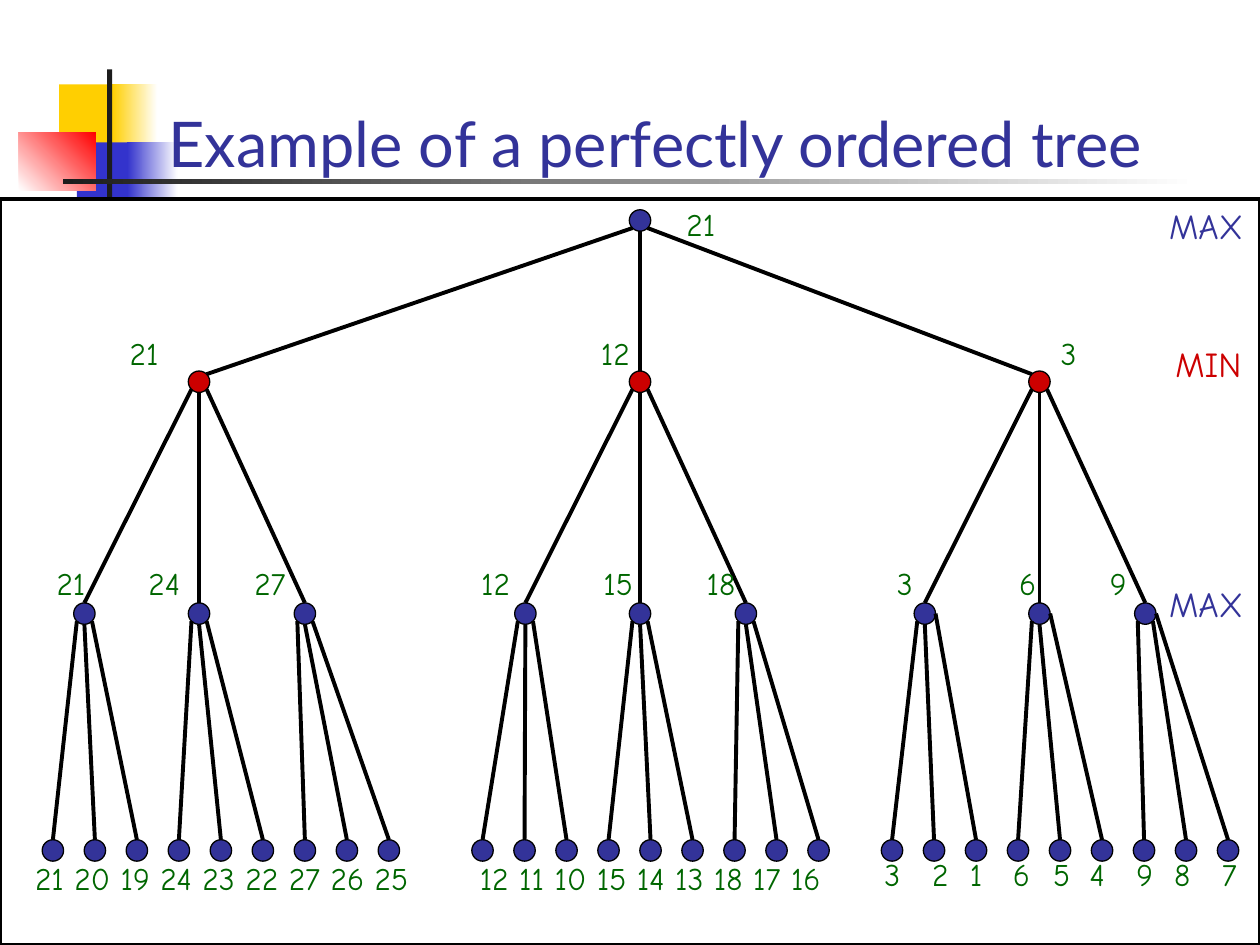
from dataclasses import dataclass

from lxml import etree
from pptx import Presentation
from pptx.dml.color import RGBColor
from pptx.enum.shapes import MSO_CONNECTOR, MSO_SHAPE
from pptx.enum.text import MSO_ANCHOR
from pptx.oxml.ns import qn
from pptx.util import Inches, Pt

RECTANGLE, OVAL = MSO_SHAPE.RECTANGLE, MSO_SHAPE.OVAL
STRAIGHT = MSO_CONNECTOR.STRAIGHT
TOP, BOTTOM = MSO_ANCHOR.TOP, MSO_ANCHOR.BOTTOM


@dataclass(frozen=True)
class Theme:
    white: str = "FFFFFF"
    black: str = "000000"
    yellow: str = "FFCF01"
    blue: str = "3333CC"
    red: str = "FF0000"
    charcoal: str = "1C1C1C"
    max_color: str = "333399"
    min_color: str = "CC0000"
    value_color: str = "006600"
    title_font: str = "Lato"
    label_font: str = "Comic Neue"
    title_size: int = 36
    level_size: int = 20
    value_size: int = 18
    thick: float = 2.25
    thin: float = 0.75


theme = Theme()
deck = Presentation()
deck.slide_width, deck.slide_height = Inches(10), Inches(7.5)
page = deck.slides.add_slide(deck.slide_layouts[6])


def add_block(kind, place, color, fade=None, angle=0, line=None):
    block = page.shapes.add_shape(kind, *map(Inches, place))
    block.shadow.inherit = False
    if fade:
        block.fill.gradient()
        block.fill.gradient_angle = angle
        for stop, tone in zip(block.fill.gradient_stops, (color, fade)):
            stop.color.rgb = RGBColor.from_string(tone)
    else:
        block.fill.solid()
        block.fill.fore_color.rgb = RGBColor.from_string(color)
    if line:
        block.line.color.rgb = RGBColor.from_string(theme.black)
        block.line.width = Pt(line)
    else:
        block.line.fill.background()


def add_text(words, place, font, size, color, tabs=(), anchor=TOP):
    box = page.shapes.add_textbox(*map(Inches, place))
    # No right margin, so that each line has room to stay whole
    frame_format = {"word_wrap": True, "vertical_anchor": anchor, "margin_right": 0}
    for name, value in frame_format.items():
        setattr(box.text_frame, name, value)
    para = box.text_frame.paragraphs[0]
    if tabs:
        tab_list = etree.SubElement(para._p.get_or_add_pPr(), qn("a:tabLst"))
        for stop in tabs:
            etree.SubElement(tab_list, qn("a:tab"), pos=str(Inches(stop)), algn="l")
    span = para.add_run()
    span.text = words
    for name, value in {"name": font, "size": Pt(size)}.items():
        setattr(span.font, name, value)
    span.font.color.rgb = RGBColor.from_string(color)


# Corner decoration: place, colour, fade colour, angle
for block in (
    ((0.47, 0.67, 0.48, 0.52), theme.yellow),
    ((0.89, 0.67, 0.36, 0.52), theme.yellow, theme.white),
    ((0.61, 1.13, 0.46, 0.52), theme.blue),
    ((1.01, 1.13, 0.4, 0.52), theme.blue, theme.white),
    ((0.15, 1.05, 0.61, 0.46), theme.white, theme.red, 45),
    ((0.85, 0.55, 0.04, 1.15), theme.charcoal),
    ((0.5, 1.42, 9, 0.04), theme.charcoal, theme.white),
):
    add_block(RECTANGLE, *block)

# Title and frame of the tree
add_text("Example of a perfectly ordered tree", (1.24, 0.48, 8.5, 1),
         theme.title_font, theme.title_size, theme.max_color, anchor=BOTTOM)
add_block(RECTANGLE, (0, 1.58, 10, 5.92), theme.white, line=theme.thick)

# Node centres, level by level
root_x = 5.08
min_xs = [1.58, 5.08, 8.25]
max_xs = [x + shift for x in min_xs for shift in (-0.91, 0, 0.84)]
leaf_xs = [start + i / 3 for start in (0.42, 3.83, 7.08) for i in range(9)]
levels = [
    (1.75, [root_x], theme.max_color),
    (3.03, min_xs, theme.min_color),
    (4.87, max_xs, theme.max_color),
    (6.75, leaf_xs, theme.max_color),
]
diameter = 0.17
radius = diameter / 2
diagonal = 0.06

for y, xs, color in levels:
    for x in xs:
        add_block(OVAL, (x - radius, y - radius, diameter, diameter), color, line=theme.thin)

# Edges: the three children hang from lower left, bottom and lower right
lower_left, bottom, lower_right = (-diagonal, diagonal), (0, radius), (diagonal, diagonal)
right_side = (radius, 0)
for depth, ((y, xs, _), (child_y, child_xs, _)) in enumerate(zip(levels, levels[1:])):
    for i, child_x in enumerate(child_xs):
        parent, side = divmod(i, 3)
        dx, dy = (lower_left, bottom, lower_right)[side]
        if depth == 2 and parent >= 6 and side == 2:
            dx, dy = right_side
        elif depth == 2 and parent == 8 and side == 1:
            dx, dy = lower_right
        end_x, end_y = child_x, child_y - radius
        if depth == 0 and side != 1:
            end_x, end_y = child_x + (1 - side) * diagonal, child_y - diagonal
        edge = page.shapes.add_connector(
            STRAIGHT, Inches(xs[parent] + dx), Inches(y + dy), Inches(end_x), Inches(end_y))
        edge.line.color.rgb = RGBColor.from_string(theme.black)
        edge.line.width = Pt(theme.thick)
        etree.SubElement(edge._element.spPr, qn("a:effectLst"))

# Level names
for words, place, color in (
    ("MAX", (9.18, 1.57, 0.78, 0.44), theme.max_color),
    ("MIN", (9.23, 2.67, 0.72, 0.44), theme.min_color),
    ("MAX", (9.18, 4.57, 0.78, 0.44), theme.max_color),
):
    add_text(words, place, theme.label_font, theme.level_size, color)

# Node values: words, left, top, width, tab stops
for words, left, top, width, tabs in (
    ("21 20 19 24 23 22 27 26 25", 0.18, 6.77, 3.16, ()),
    ("12 11 10 15 14 13 18 17 16", 3.71, 6.77, 2.9, ()),
    ("3\t2\t1\t6\t5\t4\t9\t8\t7", 6.92, 6.74, 3,
     (0.38, 0.68, 1.02, 1.34, 1.63, 2, 2.3, 2.68)),
    ("21\t24\t27", 0.35, 4.43, 2.01, (0.73, 1.57)),
    ("12\t15\t18", 3.72, 4.43, 2.23, (0.97, 1.79)),
    ("3\t6\t9", 7.02, 4.43, 2.01, (0.97, 1.69)),
    ("21\t12\t3", 0.93, 2.6, 7.71, (3.74, 7.39)),
    ("21", 5.35, 1.58, 0.43, ()),
):
    add_text(words, (left, top, width, 0.4), theme.label_font,
             theme.value_size, theme.value_color, tabs)

deck.save("out.pptx")
